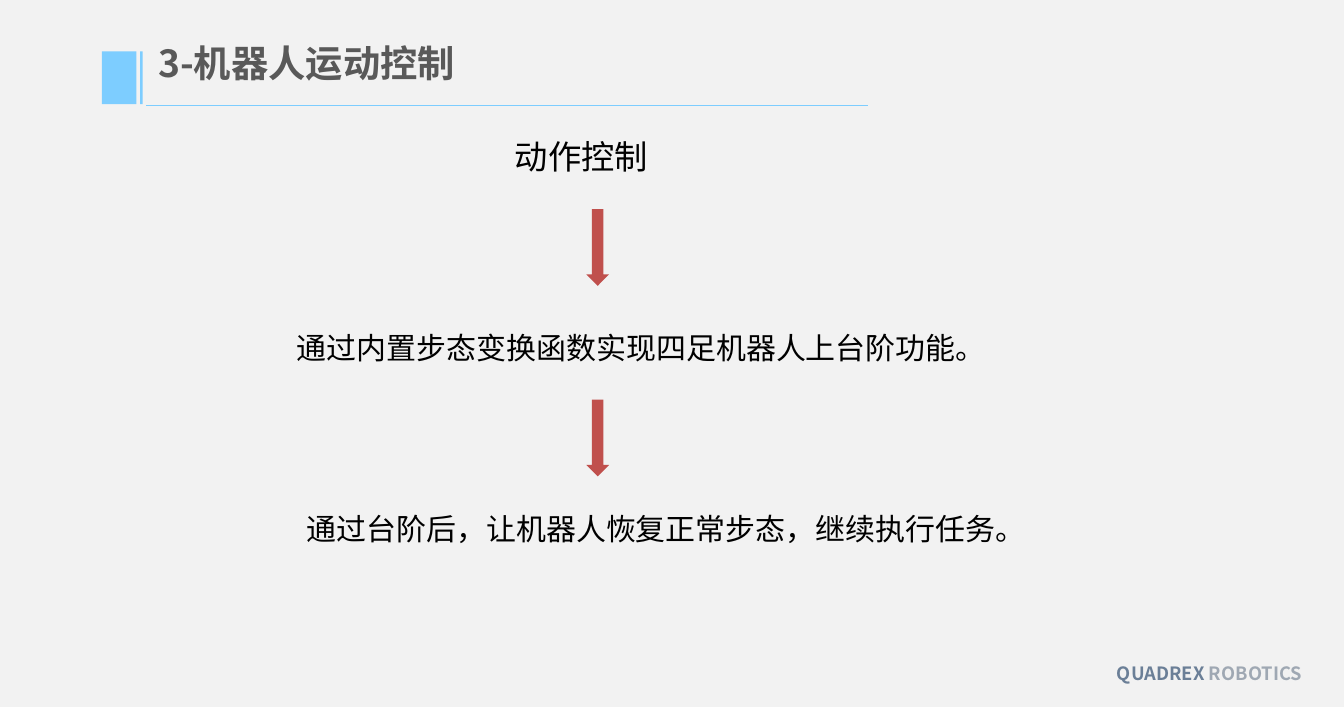
from lxml import etree
from pptx import Presentation
from pptx.dml.color import RGBColor
from pptx.enum.shapes import MSO_CONNECTOR, MSO_SHAPE
from pptx.enum.text import MSO_ANCHOR, MSO_AUTO_SIZE, PP_ALIGN
from pptx.oxml.ns import qn
from pptx.util import Inches, Pt

RECT, DOWN = MSO_SHAPE.RECTANGLE, MSO_SHAPE.DOWN_ARROW
LINE = MSO_CONNECTOR.STRAIGHT
TOP, MIDDLE = MSO_ANCHOR.TOP, MSO_ANCHOR.MIDDLE
LEFT, RIGHT = PP_ALIGN.LEFT, PP_ALIGN.RIGHT
FIXED = MSO_AUTO_SIZE.NONE

WIDE, HIGH = 11.22, 5.9
FONT = "Noto Sans CJK SC"
COLORS = {
    "back": "F2F2F2", "blue": "7DCDFF", "red": "C0504D", "title": "595959",
    "body": "000000", "brand": "6B7F97", "field": "9FA8B3",
}


def color(name):
    return RGBColor.from_string(COLORS[name])


def place(x, y, w, h):
    """Turn cells of a 100 by 100 grid into slide lengths."""
    col, row = WIDE / 100, HIGH / 100
    return [Inches(n) for n in (x * col, y * row, w * col, h * row)]


def set_all(item, values):
    for name, value in values.items():
        setattr(item, name, value)


def write(shape, runs, size, bold=False, align=LEFT, anchor=MIDDLE):
    """Fill a one-line text frame with (text, color name) runs."""
    frame = shape.text_frame
    set_all(frame, {
        "word_wrap": True, "auto_size": FIXED, "vertical_anchor": anchor,
        "margin_left": Inches(0.1), "margin_right": Inches(0.1),
        "margin_top": 0, "margin_bottom": 0,
    })
    para = frame.paragraphs[0]
    para.alignment = align
    for text, tone in runs:
        run = para.add_run()
        run.text = text
        set_all(run.font, {"name": FONT, "size": Pt(size), "bold": bold})
        run.font.color.rgb = color(tone)
        east = etree.SubElement(run.font._element, qn("a:ea"))
        east.set("typeface", FONT)
    return para


def add_text(slide, box, runs, size, **style):
    write(slide.shapes.add_textbox(*place(*box)), runs, size, **style)


def add_block(slide, kind, box, tone):
    shape = slide.shapes.add_shape(kind, *place(*box))
    shape.shadow.inherit = False
    shape.fill.solid()
    shape.fill.fore_color.rgb = color(tone)
    shape.line.fill.background()


def add_rule(slide, x, y, w):
    left, top, width, _ = place(x, y, w, 0)
    rule = slide.shapes.add_connector(LINE, left, top, left + width, top)
    rule.line.color.rgb = color("blue")
    rule.line.width = Pt(1)
    etree.SubElement(rule._element.spPr, qn("a:effectLst"))


def add_title(slide, box, text):
    title = slide.shapes.title
    spots = zip(("left", "top", "width", "height"), place(*box))
    set_all(title, dict(spots))
    para = write(title, [(text, "title")], 22.4, bold=True, anchor=TOP)
    para.line_spacing = 0.9


def main():
    deck = Presentation()
    set_all(deck, {"slide_width": Inches(WIDE), "slide_height": Inches(HIGH)})
    slide = deck.slides.add_slide(deck.slide_layouts[5])
    slide.background.fill.solid()
    slide.background.fill.fore_color.rgb = color("back")

    add_title(slide, (10.87, 6.44, 55.97, 5.76), "3-机器人运动控制")
    add_rule(slide, 10.87, 14.92, 53.75)
    for x, w in ((7.58, 2.58), (10.43, 0.18)):
        add_block(slide, RECT, (x, 7.29, w, 7.46), "blue")

    steps = (
        ((37.43, 18.31, 13, 7.46), "动作控制", 20),
        ((21.21, 45.76, 54, 6.78),
         "通过内置步态变换函数实现四足机器人上台阶功能。", 18),
        ((21.93, 71.36, 54.37, 6.78),
         "通过台阶后，让机器人恢复正常步态，继续执行任务。", 18),
    )
    for box, text, size in steps:
        add_text(slide, box, [(text, "body")], size)
    for y in (29.58, 56.53):
        add_block(slide, DOWN, (43.63, y, 1.69, 10.85), "red")

    add_text(slide, (77.45, 92.71, 20.32, 4.92),
             [("QUADREX ", "brand"), ("ROBOTICS", "field")],
             11, bold=True, align=RIGHT)
    deck.save("out.pptx")


if __name__ == "__main__":
    main()
